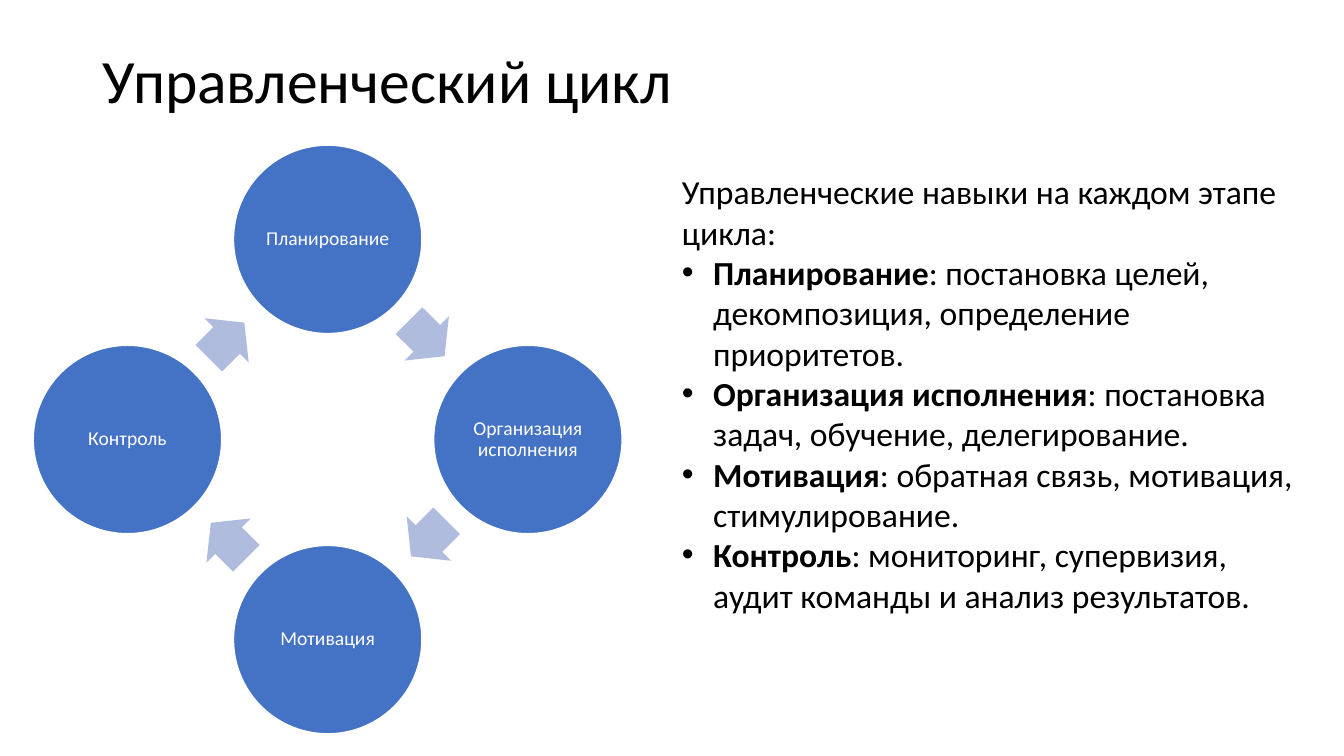
import math
from pptx import Presentation, util as u
from pptx.dml.color import RGBColor
from pptx.enum import shapes, text
from pptx.oxml.ns import qn
from lxml import etree

COLORS = {"ink": "000000", "stage": "4472C4", "arrow": "B0BCDE", "paper": "FFFFFF"}
FONT = "Calibri"
WIDTH, HEIGHT = 13.33, 7.5
STAGES = ["Планирование", "Организация исполнения", "Мотивация", "Контроль"]
INTRO = "Управленческие навыки на каждом этапе цикла:"
SKILLS = [
    "постановка целей, декомпозиция, определение приоритетов.",
    "постановка задач, обучение, делегирование.",
    "обратная связь, мотивация, стимулирование.",
    "мониторинг, супервизия, аудит команды и анализ результатов.",
]


def color(name):
    return RGBColor.from_string(COLORS[name])


def style(para, size, ink="ink"):
    for span in para.runs:
        span.font.name = FONT
        span.font.size = u.Pt(size)
        span.font.color.rgb = color(ink)


def add_box(page, left, top, width, height):
    box = page.shapes.add_textbox(*map(u.Inches, (left, top, width, height)))
    box.text_frame.word_wrap = True
    return box.text_frame


def add_centred(page, preset, x, y, width, height, fill):
    """Add a filled preset shape whose centre is at x, y."""
    shape = page.shapes.add_shape(
        preset, *map(u.Inches, (x - width / 2, y - height / 2, width, height)))
    shape.shadow.inherit = False
    shape.fill.solid()
    shape.fill.fore_color.rgb = color(fill)
    return shape


def add_title(page, left, top, width, height):
    frame = add_box(page, left, top, width, height)
    frame.vertical_anchor = text.MSO_ANCHOR.MIDDLE
    frame.text = "Управленческий цикл"
    frame.paragraphs[0].line_spacing = 0.9
    style(frame.paragraphs[0], 44)


def add_stage(page, x, y, diameter, name):
    circle = add_centred(page, shapes.MSO_SHAPE.OVAL, x, y, diameter, diameter, "stage")
    circle.line.color.rgb = color("paper")
    circle.line.width = u.Pt(1)
    frame = circle.text_frame
    frame.margin_left = frame.margin_right = u.Inches(0.02)
    frame.margin_top = frame.margin_bottom = u.Inches(0.02)
    frame.word_wrap = True
    frame.vertical_anchor = text.MSO_ANCHOR.MIDDLE
    frame.text = name
    para = frame.paragraphs[0]
    para.alignment = text.PP_ALIGN.CENTER
    para.line_spacing = 0.9
    style(para, 14, "paper")


def add_arrow(page, x, y, size, angle):
    arrow = add_centred(page, shapes.MSO_SHAPE.RIGHT_ARROW, x, y, 0.8 * size, size, "arrow")
    arrow.line.fill.background()
    arrow.adjustments[0] = 0.6
    arrow.adjustments[1] = 0.5
    arrow.rotation = angle


def add_cycle(page, left, top, side):
    """Place the stages clockwise from the top, with an arrow after each."""
    diameter = 0.32 * side
    radius = (side - diameter) / 2
    centre_x, centre_y = left + side / 2, top + side / 2
    points = [(centre_x + radius * math.sin(turn), centre_y - radius * math.cos(turn))
              for turn in (math.tau * i / len(STAGES) for i in range(len(STAGES)))]
    for i, (name, (x, y)) in enumerate(zip(STAGES, points)):
        next_x, next_y = points[(i + 1) % len(points)]
        add_stage(page, x, y, diameter, name)
        angle = math.degrees(math.atan2(next_y - y, next_x - x)) % 360
        add_arrow(page, x + 0.495 * (next_x - x), y + 0.495 * (next_y - y),
                  diameter / 3, angle)


def add_skills(page, left, top, width, height):
    frame = add_box(page, left, top, width, height)
    frame.text = INTRO
    style(frame.paragraphs[0], 24)
    for name, skills in zip(STAGES, SKILLS):
        para = frame.add_paragraph()
        props = para._p.get_or_add_pPr()
        props.set("marL", str(u.Inches(0.31)))
        props.set("indent", str(-u.Inches(0.31)))
        etree.SubElement(props, qn("a:buFont")).set("typeface", "Arial")
        etree.SubElement(props, qn("a:buChar")).set("char", "•")
        for part, bold in ((name, True), (f": {skills}", False)):
            span = para.add_run()
            span.text = part
            span.font.bold = bold
        style(para, 24)


def main():
    deck = Presentation()
    deck.slide_width, deck.slide_height = u.Inches(WIDTH), u.Inches(HEIGHT)
    page = deck.slides.add_slide(deck.slide_layouts[6])
    add_title(page, 0.92, 0.4, 11.5, 0.85)
    add_skills(page, WIDTH / 2, 1.65, 6.32, 4.54)
    add_cycle(page, 0.33, 1.44, 5.84)
    deck.save("out.pptx")


if __name__ == "__main__":
    main()
